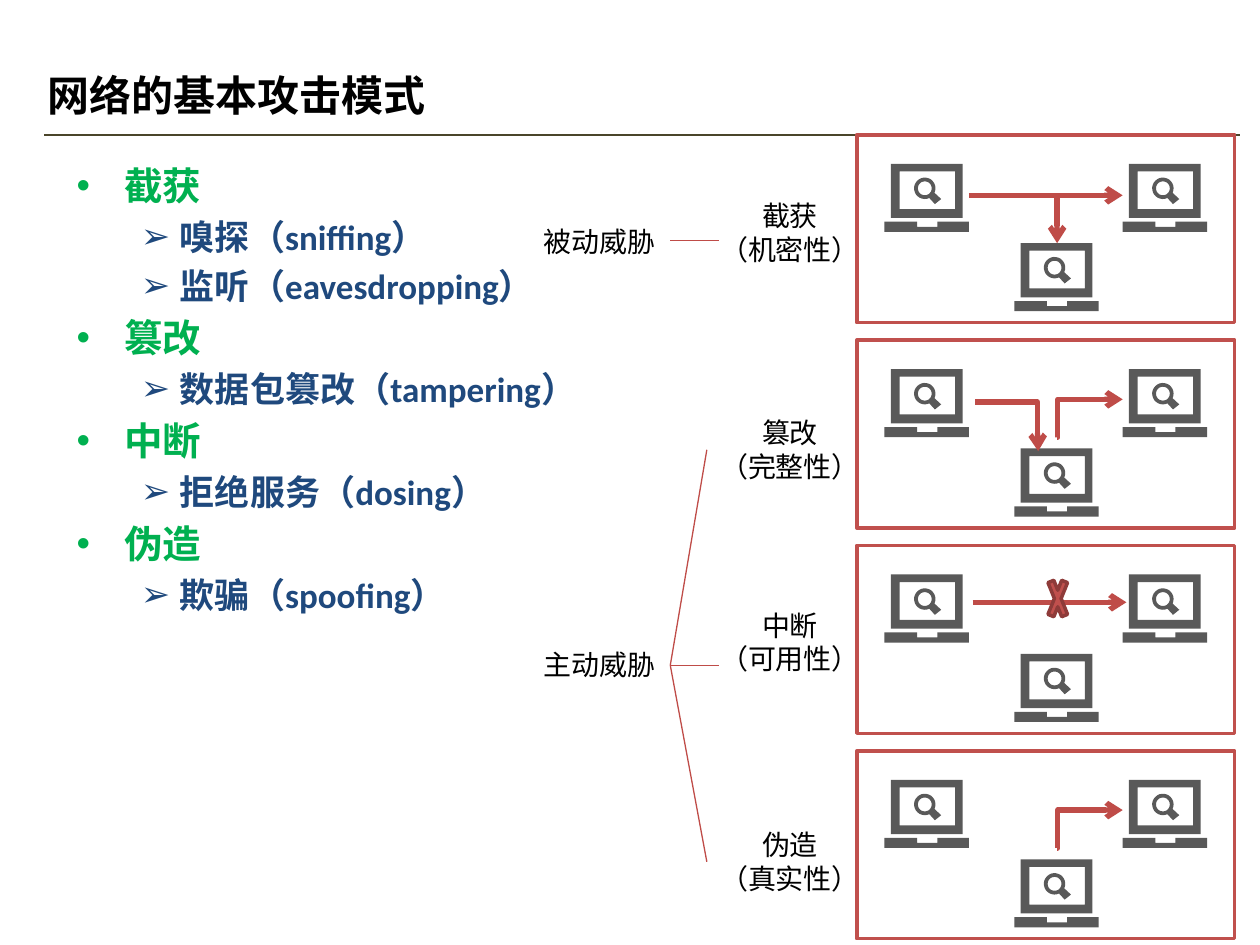
import math
import pptx
import pptx.util
import pptx.dml.color
import pptx.enum.shapes
import pptx.enum.text
import pptx.oxml.ns
import lxml.etree

TITLE = "网络的基本攻击模式"
OUTLINE = [
    ("截获", ["嗅探（sniffing）", "监听（eavesdropping）"]),
    ("篡改", ["数据包篡改（tampering）"]),
    ("中断", ["拒绝服务（dosing）"]),
    ("伪造", ["欺骗（spoofing）"]),
]
THREATS = [("被动威胁", 1.73), ("主动威胁", 5.09)]
ATTACKS = [
    ("截获", "（机密性）", 1.53),
    ("篡改", "（完整性）", 3.25),
    ("中断", "（可用性）", 4.78),
    ("伪造", "（真实性）", 6.52),
]
BRANCHES = [
    (5.32, 1.91, 5.71, 1.91),
    (5.32, 5.28, 5.61, 3.57),
    (5.32, 5.28, 5.71, 5.28),
    (5.32, 5.28, 5.61, 6.84),
]
RELAY = (1.59, 0.77, 2.11, 0.47, 0.01)
PANEL_ARROWS = [
    [(0.89, 0.48, 2.11, 0.48, None), (1.59, 0.48, 1.59, 0.86, None)],
    [RELAY, (0.94, 0.49, 1.44, 0.88, 0.99)],
    [(0.92, 0.45, 2.14, 0.45, None)],
    [RELAY],
]
LAPTOPS = [(0.22, 0.23), (2.11, 0.23), (1.25, 0.86)]
PANEL_LEFT, PANEL_TOP, PANEL_WIDTH, PANEL_HEIGHT, PANEL_PITCH = 6.8, 1.07, 3, 1.49, 1.63
BLOCKED_PANEL = 2
RED, ARROW_RED, DARK_RED, GREY = "C0504D", "BF4C48", "8E3B39", "595959"
GREEN, NAVY, BLACK, OLIVE = "00B050", "1F497D", "000000", "4A452A"

inch = pptx.util.Inches
qn = pptx.oxml.ns.qn


def color(value):
    return pptx.dml.color.RGBColor.from_string(value)


def style_font(font, size, value, bold=False):
    font.name, font.size, font.bold = "Calibri", pptx.util.Pt(size), bold
    font.color.rgb = color(value)


def style_line(line, value, width):
    line.color.rgb = color(value)
    line.width = pptx.util.Pt(width)


def add_text(slide, left, top, width, height, wrap=True):
    box = slide.shapes.add_textbox(inch(left), inch(top), inch(width), inch(height))
    box.text_frame.word_wrap = wrap
    return box.text_frame


def add_label(slide, left, top, width, height, lines):
    frame = add_text(slide, left, top, width, height, wrap=False)
    frame.text = "\n".join(lines)
    for para in frame.paragraphs:
        para.alignment = pptx.enum.text.PP_ALIGN.CENTER
        style_font(para.runs[0].font, 16, BLACK)


def add_line(slide, x1, y1, x2, y2, value, width, bend=None, arrow=False):
    kinds = pptx.enum.shapes.MSO_CONNECTOR
    kind = kinds.STRAIGHT if bend is None else kinds.ELBOW
    line = slide.shapes.add_connector(kind, inch(x1), inch(y1), inch(x2), inch(y2))
    style_line(line.line, value, width)
    properties = line._element.spPr
    lxml.etree.SubElement(properties, qn("a:effectLst"))
    if arrow:
        lxml.etree.SubElement(properties.find(qn("a:ln")), qn("a:tailEnd"), type="arrow")
    if bend is not None:
        guides = properties.find(qn("a:prstGeom")).find(qn("a:avLst"))
        lxml.etree.SubElement(guides, qn("a:gd"), name="adj1", fmla=f"val {round(bend * 100000)}")


def arc(radius, start, end):
    steps = 24
    angles = [math.radians(start + (end - start) * i / steps) for i in range(steps + 1)]
    return [(32 + radius * math.cos(a), 19.5 + radius * math.sin(a)) for a in angles]


def rectangle(left, top, right, bottom):
    return [(left, top), (right, top), (right, bottom), (left, bottom)]


LAPTOP_UNITS_PER_INCH = 100
LAPTOP_OUTLINES = [
    [(0, 46), (26, 46), (26, 50), (42, 50), (42, 46), (67, 46), (67, 54), (0, 54)],
    rectangle(5, 0, 62, 43),
    rectangle(12, 6, 56, 36),
    arc(8.5, 65, 385) + [(45, 28), (40, 32)],
    arc(5.5, 0, 360),
]


def add_laptop(slide, left, top):
    detail = 10
    outlines = [[(x * detail, y * detail) for x, y in outline] for outline in LAPTOP_OUTLINES]
    scale = inch(1) / (LAPTOP_UNITS_PER_INCH * detail)
    builder = slide.shapes.build_freeform(*outlines[0][0], scale=scale)
    for index, outline in enumerate(outlines):
        if index:
            builder.move_to(*outline[0])
        builder.add_line_segments(outline[1:], close=True)
    laptop = builder.convert_to_shape(inch(left), inch(top))
    laptop.shadow.inherit = False
    laptop.fill.solid()
    laptop.fill.fore_color.rgb = color(GREY)
    laptop.line.fill.background()


def add_preset(slide, kind, left, top, width, height, line, fill=None):
    shape = slide.shapes.add_shape(kind, inch(left), inch(top), inch(width), inch(height))
    shape.shadow.inherit = False
    style_line(shape.line, line, 2)
    if fill:
        shape.fill.solid()
        shape.fill.fore_color.rgb = color(fill)
    else:
        shape.fill.background()


def add_outline(slide):
    frame = add_text(slide, 0.51, 1.24, 9, 4.95)
    items = []
    for topic, details in OUTLINE:
        items.append((topic, 0.38, 0.38, "•", 22, GREEN))
        items += [(detail, 0.82, 0.31, "➢", 20, NAVY) for detail in details]
    for index, (text, margin, hanging, bullet, size, value) in enumerate(items):
        para = frame.add_paragraph() if index else frame.paragraphs[0]
        para.text = text
        properties = para._p.get_or_add_pPr()
        properties.set("marL", str(inch(margin)))
        properties.set("indent", str(-inch(hanging)))
        lxml.etree.SubElement(properties, qn("a:buFont"), typeface="Arial")
        lxml.etree.SubElement(properties, qn("a:buChar"), char=bullet)
        if index:
            para.space_before = pptx.util.Pt(size * 0.2)
        style_font(para.runs[0].font, size, value, bold=True)


def main():
    deck = pptx.Presentation()
    deck.slide_width, deck.slide_height = inch(10), inch(7.5)
    slide = deck.slides.add_slide(deck.slide_layouts[6])
    presets = pptx.enum.shapes.MSO_SHAPE

    add_line(slide, 0.35, 1.07, 9.84, 1.07, OLIVE, 1)
    title = add_text(slide, 0.28, 0.29, 9, 0.93)
    title.vertical_anchor = pptx.enum.text.MSO_ANCHOR.MIDDLE
    title.text = TITLE
    style_font(title.paragraphs[0].runs[0].font, 24, BLACK, bold=True)
    add_outline(slide)

    for row, arrows in enumerate(PANEL_ARROWS):
        top = PANEL_TOP + row * PANEL_PITCH
        for dx, dy in LAPTOPS:
            add_laptop(slide, PANEL_LEFT + dx, top + dy)
        add_preset(slide, presets.RECTANGLE, PANEL_LEFT, top, PANEL_WIDTH, PANEL_HEIGHT, RED)
        for x1, y1, x2, y2, bend in arrows:
            add_line(slide, PANEL_LEFT + x1, top + y1, PANEL_LEFT + x2, top + y2,
                     ARROW_RED, 3, bend, arrow=True)
        if row == BLOCKED_PANEL:
            add_preset(slide, presets.MATH_MULTIPLY, PANEL_LEFT + 1.49, top + 0.16,
                       0.21, 0.52, DARK_RED, RED)

    for text, top in THREATS:
        add_label(slide, 4.21, top, 1.1, 0.37, [text])
    for name, quality, top in ATTACKS:
        add_label(slide, 5.61, top, 1.32, 0.64, [name, quality])
    for branch in BRANCHES:
        add_line(slide, *branch, ARROW_RED, 0.75)
    deck.save("out.pptx")


if __name__ == "__main__":
    main()
